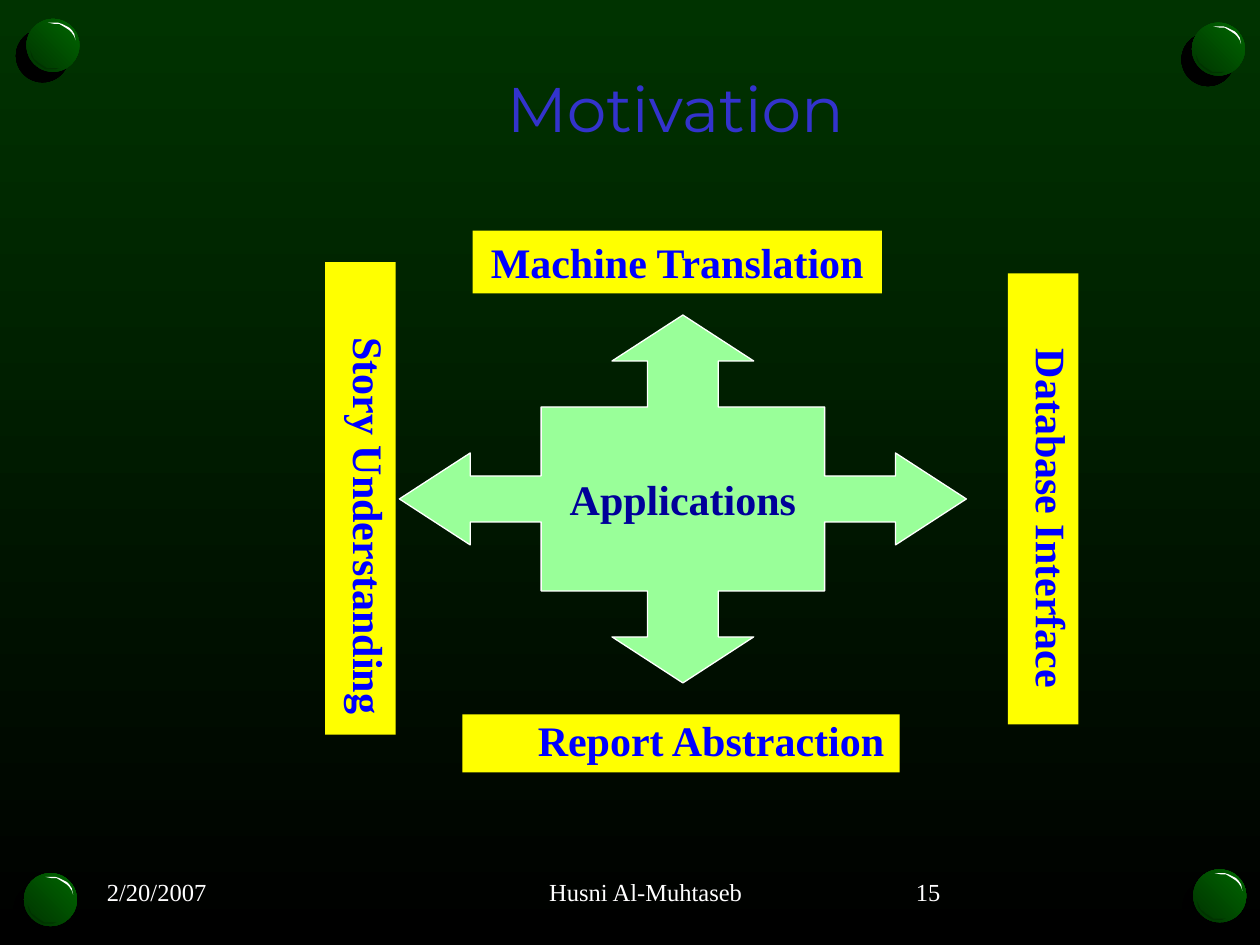
import pptx
import pptx.dml.color
import pptx.enum.shapes
import pptx.enum.text
import pptx.oxml
import pptx.oxml.ns
import pptx.util
from pptx.util import Inches

COLORS = {
    "dark": "003300", "black": "000000", "green": "006600", "white": "FFFFFF",
    "mint": "99FF99", "navy": "000099", "yellow": "FFFF00", "blue": "0000FF",
    "title": "3333CC",
}
SERIF = "Times New Roman"
ALIGN = pptx.enum.text.PP_ALIGN
ANCHOR = pptx.enum.text.MSO_ANCHOR
SHAPES = pptx.enum.shapes.MSO_SHAPE

BALL_SIZE = 0.42
GLEAM = [
    (0.17, 0.03), (0.25, 0.03), (0.28, 0.04), (0.3, 0.05), (0.34, 0.07),
    (0.36, 0.09), (0.38, 0.12), (0.39, 0.17), (0.38, 0.14), (0.36, 0.11),
    (0.34, 0.09), (0.31, 0.07), (0.26, 0.04), (0.22, 0.04),
]
SHADE = [
    (0.26, 0.39), (0.2, 0.39), (0.16, 0.39), (0.13, 0.37), (0.1, 0.35),
    (0.08, 0.33), (0.06, 0.32), (0.03, 0.25), (0.04, 0.3), (0.06, 0.33),
    (0.08, 0.35), (0.12, 0.38), (0.15, 0.4), (0.19, 0.4), (0.23, 0.4),
]
ARROW_ARM = [
    (-2, -2), (-0.5, -2), (-0.5, -3), (-1, -3),
    (0, -4), (1, -3), (0.5, -3), (0.5, -2),
]


def rgb(name):
    return pptx.dml.color.RGBColor.from_string(COLORS[name])


def paint(shape, fill, line=None):
    shape.shadow.inherit = False
    shape.fill.solid()
    shape.fill.fore_color.rgb = rgb(fill)
    if line:
        shape.line.color.rgb = rgb(line)
        shape.line.width = pptx.util.Pt(0.75)
    else:
        shape.line.fill.background()


def paint_gradient(fill, names, angle):
    fill.gradient()
    fill.gradient_angle = angle
    for stop, name in zip(fill.gradient_stops, names):
        stop.color.rgb = rgb(name)


def write(shape, text, size, color, font=SERIF, bold=False, align=ALIGN.LEFT,
          anchor=ANCHOR.TOP, wrap=True, indent=0, spacing=1.0):
    frame = shape.text_frame
    frame.text = text
    para = frame.paragraphs[0]
    if indent:
        properties = para._p.get_or_add_pPr()
        properties.set("marL", str(Inches(indent)))
        properties.set("indent", "0")
    frame_format = {
        "word_wrap": wrap, "vertical_anchor": anchor,
        "auto_size": pptx.enum.text.MSO_AUTO_SIZE.NONE,
        "margin_left": Inches(0.1), "margin_right": Inches(0.1),
        "margin_top": Inches(0.05), "margin_bottom": Inches(0.05),
    }
    para_format = {"alignment": align, "line_spacing": spacing}
    span_format = {"name": font, "size": pptx.util.Pt(size), "bold": bold}
    span = para.runs[0]
    for target, values in ((frame, frame_format), (para, para_format),
                           (span.font, span_format)):
        for key, value in values.items():
            setattr(target, key, value)
    span.font.color.rgb = rgb(color)


def add_outline(shapes, points):
    corners = [(Inches(x), Inches(y)) for x, y in points]
    builder = shapes.build_freeform(*corners[0])
    builder.add_line_segments(corners[1:], close=True)
    return builder.convert_to_shape()


def add_ball(page, left, top):
    group = page.shapes.add_group_shape()
    size = Inches(BALL_SIZE)
    ball = group.shapes.add_shape(
        SHAPES.OVAL, Inches(left), Inches(top), size, size)
    ball.line.fill.background()
    paint_gradient(ball.fill, ("dark", "green"), 45)
    ball._element.spPr.append(pptx.oxml.parse_xml(
        f'<a:effectLst {pptx.oxml.ns.nsdecls("a")}>'
        '<a:outerShdw dist="107950" dir="8100000" algn="ctr" rotWithShape="0">'
        f'<a:srgbClr val="{COLORS["black"]}"/></a:outerShdw></a:effectLst>'))
    for points, color in ((GLEAM, "white"), (SHADE, "dark")):
        outline = add_outline(
            group.shapes, [(left + x, top + y) for x, y in points])
        paint(outline, color)


def add_backdrop(page):
    paint_gradient(page.background.fill, ("dark", "black"), 270)
    dot = page.shapes.add_shape(
        SHAPES.OVAL, Inches(9.74), Inches(0.15), Inches(0.06), Inches(0.06))
    paint(dot, "dark")
    for left, top in ((0.21, 0.15), (9.46, 0.18), (9.47, 6.9), (0.19, 6.93)):
        add_ball(page, left, top)


def add_title(page, box):
    title = page.shapes.title
    title.left, title.top, title.width, title.height = map(Inches, box)
    write(title, "Motivation", 36, "title", font="Montserrat",
          align=ALIGN.CENTER, wrap=False)


def add_footer(page, top, height):
    for text, left, width, align in (
            ("2/20/2007", 0.75, 2.43, ALIGN.LEFT),
            ("Husni Al-Muhtaseb", 3.27, 3.71, ALIGN.CENTER),
            ("15", 7.17, 2.19, ALIGN.LEFT)):
        note = page.shapes.add_textbox(*map(Inches, (left, top, width, height)))
        write(note, text, 14, "white", align=align, anchor=ANCHOR.MIDDLE)


def add_applications(page, box):
    left, top, width, height = box
    arm, points = ARROW_ARM, []
    for _ in range(4):
        points += arm
        arm = [(-y, x) for x, y in arm]
    arrows = add_outline(page.shapes, [
        (left + width * (x + 4) / 8, top + height * (y + 4) / 8)
        for x, y in points])
    paint(arrows, "mint", "white")
    write(arrows, "Applications", 24, "navy", bold=True, align=ALIGN.CENTER,
          anchor=ANCHOR.MIDDLE, wrap=False)


def add_label(page, text, box, vertical=False, **text_format):
    label = page.shapes.add_shape(SHAPES.RECTANGLE, *map(Inches, box))
    paint(label, "yellow")
    write(label, text, 24, "blue", bold=True, **text_format)
    if vertical:
        label.text_frame._txBody.bodyPr.set("vert", "eaVert")


def add_labels(page):
    indented = {"indent": 0.5, "spacing": 0.9}
    add_label(page, "Machine Translation", (3.75, 1.83, 3.25, 0.5),
              align=ALIGN.CENTER)
    add_label(page, "Database Interface", (8, 2.17, 0.56, 3.58),
              vertical=True, **indented)
    add_label(page, "Report Abstraction", (3.67, 5.67, 3.47, 0.46),
              wrap=False, **indented)
    add_label(page, "Story Understanding", (2.58, 2.08, 0.56, 3.75),
              vertical=True, **indented)


def main():
    deck = pptx.Presentation()
    deck.slide_width, deck.slide_height = Inches(10), Inches(7.5)
    page = deck.slides.add_slide(deck.slide_layouts[5])
    add_backdrop(page)
    add_title(page, (3.92, 0.5, 2.88, 0.71))
    add_footer(page, 6.83, 0.5)
    add_applications(page, (3.17, 2.5, 4.5, 2.92))
    add_labels(page)
    deck.save("out.pptx")


if __name__ == "__main__":
    main()
